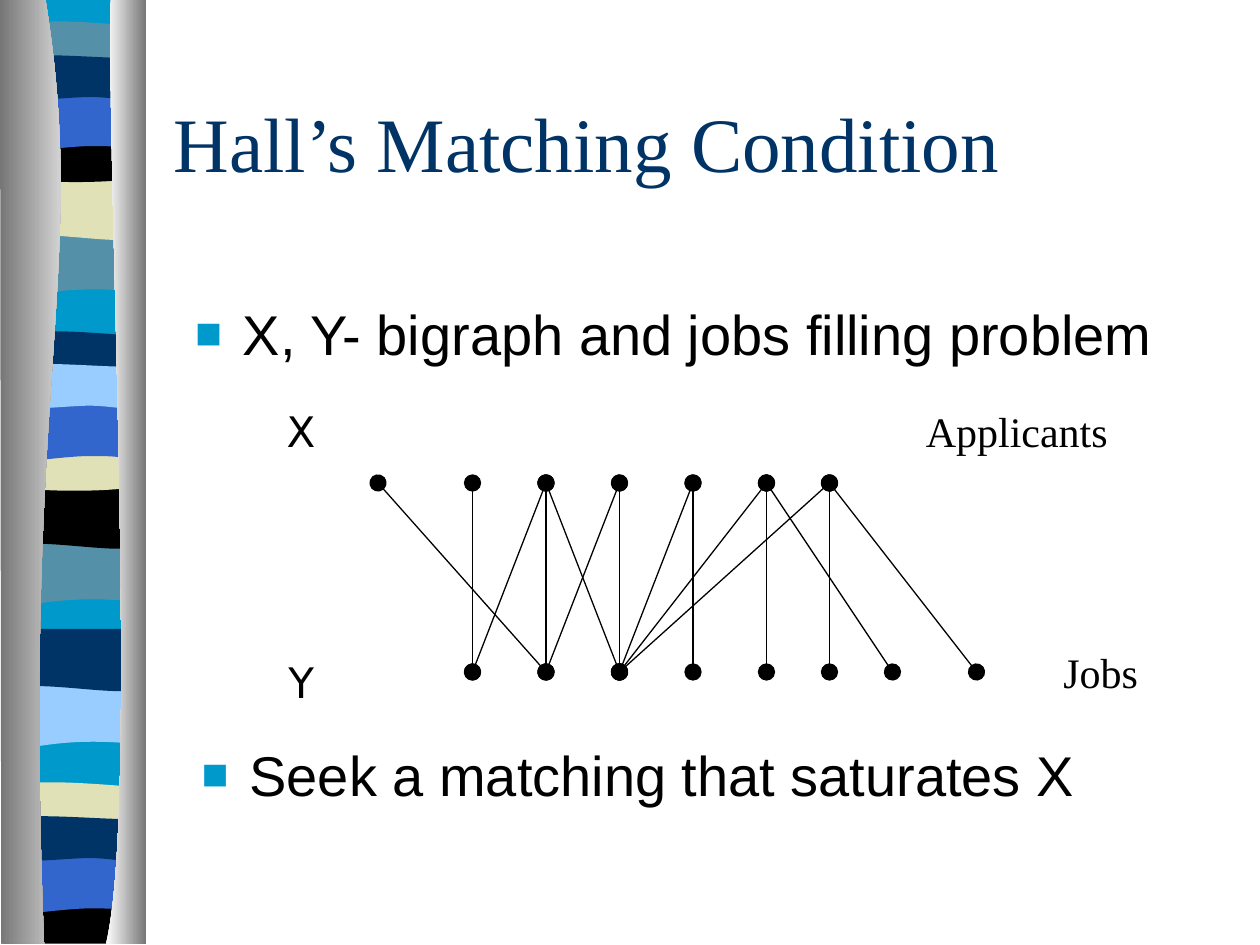
from lxml.etree import SubElement
from pptx import Presentation
from pptx.dml.color import RGBColor
from pptx.enum.shapes import MSO_CONNECTOR
from pptx.enum.text import MSO_ANCHOR, MSO_AUTO_SIZE, PP_ALIGN
from pptx.oxml.ns import qn
from pptx.util import Inches, Pt

COLORS = {
    "sky": "0099CC", "teal": "5490A8", "navy": "003366", "blue": "3366CC",
    "black": "000000", "sand": "E1E1B7", "ice": "99CCFF",
    "white": "FFFFFF", "gray": "767676",
}
TITLE = "Hall’s Matching Condition"
PROBLEM = "X, Y- bigraph and jobs filling problem"
GOAL = "Seek a matching that saturates X"
# text, (left, top, width), font
LABELS = [
    ("X", (2.19, 3.17, 0.4), "DejaVu Sans"),
    ("Y", (2.19, 5.16, 0.4), "DejaVu Sans"),
    ("Jobs", (8.34, 5.08, 0.79), "Times New Roman"),
    ("Applicants", (7.25, 3.17, 1.64), "Times New Roman"),
]

# Bipartite graph: node positions in twelfths of an inch, (applicant, job) pairs
APPLICANT_Y, JOB_Y = 46, 64
APPLICANTS = [36, 45, 52, 59, 66, 73, 79]
JOBS = [45, 52, 59, 66, 73, 79, 85, 93]
EDGES = [(0, 1), (1, 0), (2, 1), (2, 0), (2, 2), (3, 2), (3, 1), (4, 2),
         (4, 3), (5, 4), (6, 2), (6, 5), (5, 2), (5, 6), (6, 7)]

# Outlines: a start point, then lines (one point) and Bezier curves (three points)
SAG_TOP = [(0.66, 0.05), (0.85, 0), (1.08, 0)]
OUTLINES = {
    "back": [[(1.08, 0)], [(1.08, 7.48)], [(0, 7.48)], [(0, 0)]],
    "dip": [[(1.08, 0)], [(1.08, 0.47)],
            [(0.33, 0.39), (0.18, 0.55), (0, 0.47)], [(0, 0)]],
    "wave": [[(1.08, 0)], [(1.08, 0.47)],
             [(0.9, 0.55), (0.33, 0.41), (0, 0.47)], [(0, 0)]],
    "crest": [[(1.08, 0.05)], [(1.08, 0.29)],
              [(0.9, 0.33), (0.18, 0.33), (0, 0.29)], [(0, 0.05)],
              [(0.06, 0), (0.23, 0.01), (0.41, 0.01)],
              [(0.59, 0.01), (0.94, 0.04), (1.08, 0.05)]],
    "sag": [[(1.08, 0)], [(1.08, 0.32)],
            [(0.9, 0.38), (0.18, 0.38), (0, 0.32)], [(0, 0)], SAG_TOP],
    "foot": [[(1.08, 0)], [(1.08, 0.37)], [(0, 0.37)], [(0, 0)], SAG_TOP],
    "arch": [[(1.08, 0)], [(1.08, 0.47)],
             [(0.91, 0.42), (0.84, 0.42), (0.66, 0.42)],
             [(0.48, 0.42), (0.16, 0.47), (0, 0.47)], [(0, 0)]],
    "flow": [[(1.08, 0.05)], [(1.08, 0.36)],
             [(1.01, 0.41), (0.84, 0.36), (0.66, 0.36)],
             [(0.48, 0.36), (0.11, 0.41), (0, 0.36)], [(0, 0.05)],
             [(0.15, 0), (0.73, 0.05), (0.91, 0.05)],
             [(1.09, 0.05), (1.04, 0.05), (1.08, 0.05)]],
    "left curtain": [[(0.36, 0)], [(0.71, 2.17), (0.17, 2.97), (0.35, 7.5)],
                     [(0.01, 7.5)], [(0, 0)]],
    "right curtain": [[(0.88, 0)], [(0.84, 1.26), (1.11, 6.47), (0.84, 7.5)],
                      [(1.16, 7.5)], [(1.16, 0.01)]],
}
# outline, color, left, top; back to front
BANDS = [
    ("back", "sky", 0.06, -0.01),
    ("dip", "teal", 0.06, 1.85), ("wave", "sand", 0.06, 1.41),
    ("crest", "teal", 0.06, 0.16), ("sag", "black", 0.06, 1.08),
    ("arch", "blue", 0.06, 0.74), ("flow", "navy", 0.06, 0.41),
    ("dip", "teal", 0.05, 4.31), ("wave", "black", 0.05, 3.86),
    ("crest", "navy", 0.05, 2.62), ("sag", "sand", 0.05, 3.53),
    ("arch", "blue", 0.05, 3.2), ("flow", "ice", 0.05, 2.86),
    ("dip", "ice", 0.06, 5.44), ("wave", "navy", 0.06, 4.99),
    ("crest", "sand", 0.05, 6.2), ("foot", "black", 0.05, 7.12),
    ("arch", "blue", 0.05, 6.79), ("flow", "navy", 0.05, 6.45),
]
CURTAINS = [("left curtain", ("gray", "white")), ("right curtain", ("white", "gray"))]


def rgb(name):
    return RGBColor.from_string(COLORS[name])


def add_outline(page, outline, left, top):
    """Draw a closed outline, joining the points of each curve into a Bezier."""
    (start,), *segments = OUTLINES[outline]

    def locate(point):
        return Inches(left + point[0]), Inches(top + point[1])

    builder = page.shapes.build_freeform(*locate(start), scale=1.0)
    builder.add_line_segments([locate(point) for part in segments for point in part])
    shape = builder.convert_to_shape()
    lines = iter(list(shape._element.iter(qn("a:lnTo"))))
    for part in segments:
        steps = [next(lines) for _ in part]
        if len(part) == 3:
            curve = SubElement(steps[0].getparent(), qn("a:cubicBezTo"))
            steps[0].addprevious(curve)
            for step in steps:
                curve.append(step[0])
                step.getparent().remove(step)
    shape.shadow.inherit = False
    shape.line.fill.background()
    return shape


def place(box, left, top, width, height):
    box.left, box.top = Inches(left), Inches(top)
    box.width, box.height = Inches(width), Inches(height)


def add_box(page, left, top, width, height):
    return page.shapes.add_textbox(
        Inches(left), Inches(top), Inches(width), Inches(height))


def write_text(box, text, font="Arial", size=24, color="black",
               align=PP_ALIGN.LEFT, anchor=MSO_ANCHOR.TOP, wrap=True, bullet=False):
    frame = box.text_frame
    frame.auto_size = MSO_AUTO_SIZE.NONE
    frame.word_wrap = wrap
    frame.vertical_anchor = anchor
    para = frame.paragraphs[0]
    para.alignment = align
    para.space_before = Pt(0)
    if bullet:
        props = para._p.get_or_add_pPr()
        props.set("marL", str(Inches(0.38)))
        props.set("indent", str(-Inches(0.38)))
        bullet_color = SubElement(props, qn("a:buClr"))
        SubElement(bullet_color, qn("a:srgbClr"), val=COLORS["sky"])
        SubElement(props, qn("a:buSzPct"), val="80000")
        SubElement(props, qn("a:buFont"), typeface="Arial")
        SubElement(props, qn("a:buChar"), char="■")
    span = para.add_run()
    span.text = text
    span.font.name = font
    span.font.size = Pt(size)
    span.font.color.rgb = rgb(color)


def add_edge(page, start_x, end_x):
    ends = [Inches(twelfths / 12) for twelfths in (start_x, APPLICANT_Y, end_x, JOB_Y)]
    edge = page.shapes.add_connector(MSO_CONNECTOR.STRAIGHT, *ends)
    edge.line.color.rgb = rgb("black")
    edge.line.width = Pt(0.75)
    line = edge.line._get_or_add_ln()
    for end in ("a:headEnd", "a:tailEnd"):
        SubElement(line, qn(end), type="oval", w="lg", len="lg")
    SubElement(edge._element.spPr, qn("a:effectLst"))


def main():
    deck = Presentation()
    deck.slide_width, deck.slide_height = Inches(10), Inches(7.5)
    page = deck.slides.add_slide(deck.slide_layouts[1])

    # Ribbon
    for outline, color, left, top in BANDS:
        band = add_outline(page, outline, left, top)
        band.fill.solid()
        band.fill.fore_color.rgb = rgb(color)

    # Curtains on both sides of the ribbon
    for outline, shades in CURTAINS:
        curtain = add_outline(page, outline, 0, -0.01)
        curtain.fill.gradient()
        curtain.fill.gradient_angle = 0
        for stop, shade in zip(curtain.fill.gradient_stops, shades):
            stop.color.rgb = rgb(shade)

    # Title and goal
    title, body = page.placeholders
    place(title, 1.28, 0.5, 8.5, 1.25)
    write_text(title, TITLE, font="Times New Roman", size=44, color="navy",
               anchor=MSO_ANCHOR.MIDDLE)
    place(body, 1.5, 5.83, 8.5, 0.83)
    write_text(body, GOAL, size=32, bullet=True)

    # Graph with its labels
    for applicant, job in EDGES:
        add_edge(page, APPLICANTS[applicant], JOBS[job])
    for text, (left, top, width), font in LABELS:
        write_text(add_box(page, left, top, width, 0.5), text, font=font,
                   align=PP_ALIGN.CENTER, wrap=False)

    # Problem statement
    write_text(add_box(page, 1.45, 2.33, 8.5, 0.83), PROBLEM, size=32, bullet=True)

    deck.save("out.pptx")


if __name__ == "__main__":
    main()
